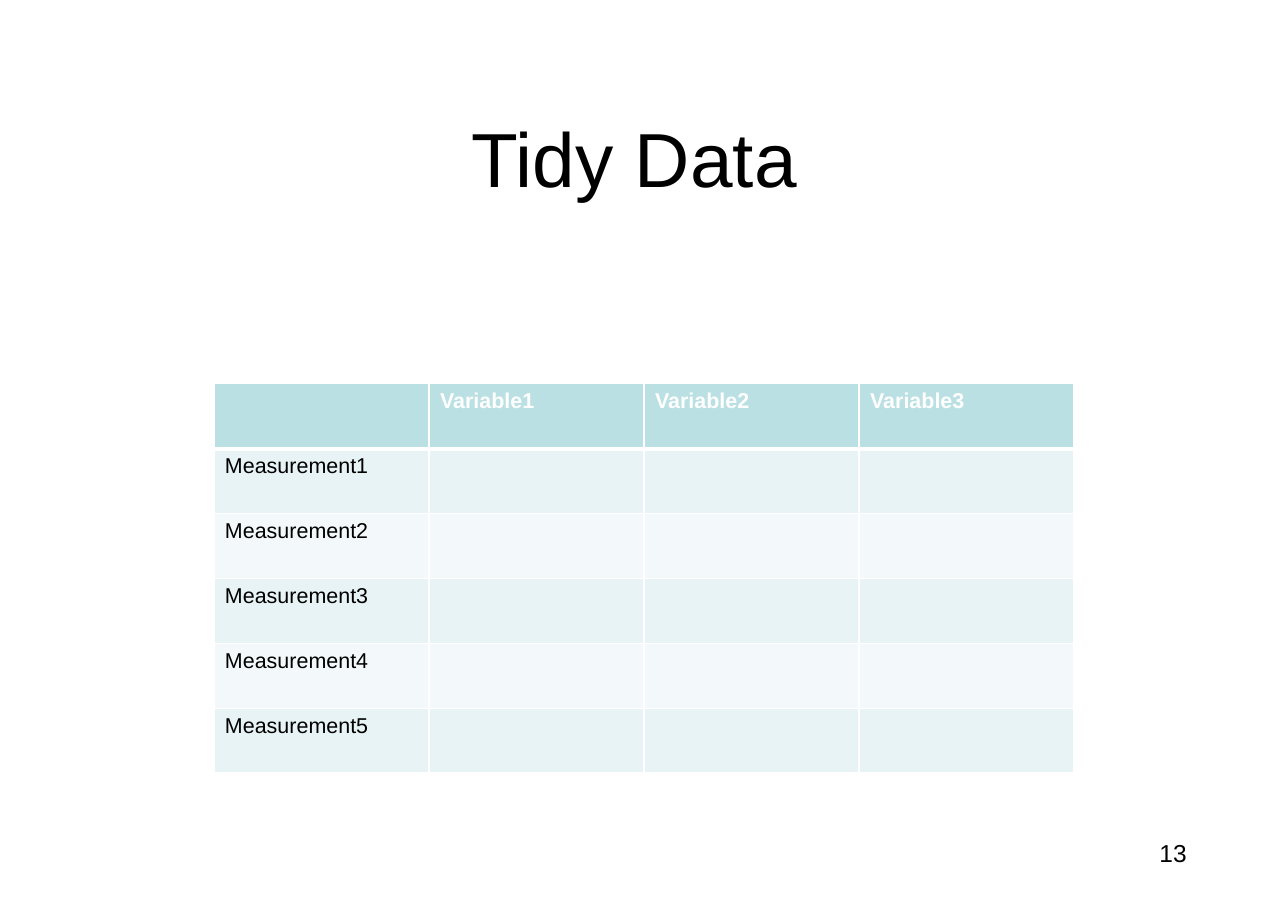
import pptx
import pptx.util
import pptx.dml.color
import pptx.enum.text
import pptx.oxml.ns
import lxml.etree

PX = 9144  # 100 px to the inch
FONT = "Arial"
COLORS = {
    "text": "000000",
    "white": "FFFFFF",
    "header": "BBE0E3",
    "odd": "E7F3F4",
    "even": "F3F9FA",
}
ALIGN = pptx.enum.text.PP_ALIGN
ANCHOR = pptx.enum.text.MSO_ANCHOR


def px(n):
    return pptx.util.Emu(n * PX)


def rgb(name):
    return pptx.dml.color.RGBColor.from_string(COLORS[name])


def style(tf, size, color, bold=False):
    for p in tf.paragraphs:
        for r in p.runs:
            r.font.name = FONT
            r.font.size = pptx.util.Pt(size)
            r.font.bold = bold
            r.font.color.rgb = rgb(color)


def add_text(s, box, text, size, align, anchor, inset):
    tf = s.shapes.add_textbox(*map(px, box)).text_frame
    tf.word_wrap = True
    tf.vertical_anchor = anchor
    tf.margin_left = tf.margin_right = px(inset)
    tf.margin_top = tf.margin_bottom = px(inset)
    tf.text = text
    tf.paragraphs[0].alignment = align
    style(tf, size, "text")


def set_borders(cell, **widths):
    """Draw white borders, with widths in points by side."""
    tc_pr = cell._tc.get_or_add_tcPr()
    qn = pptx.oxml.ns.qn
    for i, (side, width) in enumerate(widths.items()):
        ln = lxml.etree.Element(qn(f"a:ln{side}"), w=str(pptx.util.Pt(width)))
        fill = lxml.etree.SubElement(ln, qn("a:solidFill"))
        lxml.etree.SubElement(fill, qn("a:srgbClr"), val=COLORS["white"])
        tc_pr.insert(i, ln)


def add_data_table(s, box, variables, measurements):
    rows, cols = len(measurements) + 1, len(variables) + 1
    left, top, width, height = map(px, box)
    table = s.shapes.add_table(rows, cols, left, top, width, height).table

    for i in range(rows):
        for j in range(cols):
            cell = table.cell(i, j)
            header = i == 0
            cell.fill.solid()
            cell.fill.fore_color.rgb = rgb("header" if header else "odd" if i % 2 else "even")
            set_borders(cell, L=1, R=1, T=3 if i == 1 else 1, B=3 if header else 1)

            # Labels run along the first row and column
            if header and j:
                cell.text = variables[j - 1]
            elif i and j == 0:
                cell.text = measurements[i - 1]
            style(cell.text_frame, 14, "white" if header else "text", header)


def main():
    prs = pptx.Presentation()
    prs.slide_width, prs.slide_height = px(1168), px(826)
    s = prs.slides.add_slide(prs.slide_layouts[6])

    # Title
    add_text(s, (88, 73, 994, 138), "Tidy Data ", 50, ALIGN.CENTER, ANCHOR.MIDDLE, 10)
    # Page number
    add_text(s, (1044, 754, 38, 36), "13", 16, ALIGN.RIGHT, ANCHOR.TOP, 6)
    # Table of variables by measurements
    add_data_table(
        s, (194, 348, 780, 353),
        [f"Variable{n}" for n in range(1, 4)],
        [f"Measurement{n}" for n in range(1, 6)],
    )

    prs.save("out.pptx")


if __name__ == "__main__":
    main()
